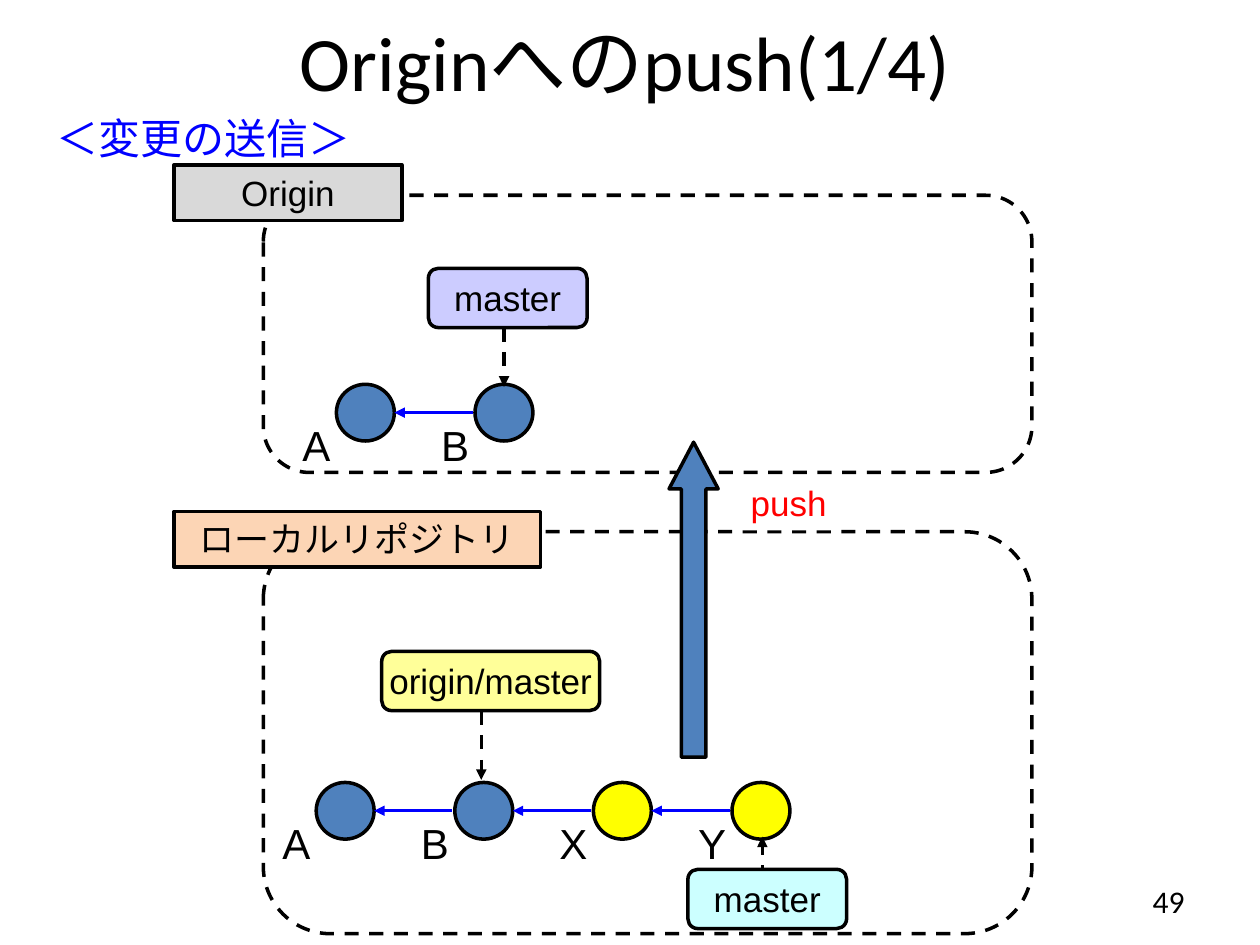
from lxml.etree import SubElement
from pptx import Presentation
from pptx.dml.color import RGBColor
from pptx.enum.dml import MSO_LINE
from pptx.enum.shapes import MSO_CONNECTOR, MSO_SHAPE
from pptx.enum.text import MSO_ANCHOR, PP_ALIGN
from pptx.oxml.ns import qn
from pptx.util import Inches, Pt

HUES = {"black": "000000", "white": "FFFFFF", "blue": "0000FF", "red": "FF0000",
        "steel": "4F81BD", "yellow": "FFFF00", "cream": "FFFF99", "cyan": "CCFFFF",
        "lilac": "CCCCFF", "gray": "D9D9D9", "peach": "FCD5B5"}
STEP = 1.1           # column width between commits
DOT = (0.46, 0.45)   # commit size
TAG_H, REF_H = 0.44, 0.47


def hue(name):
    return RGBColor.from_string(HUES[name])


def write(shape, text, size=20, font="Arial", color="black", align=PP_ALIGN.LEFT,
          anchor=MSO_ANCHOR.TOP, wrap=True, pad=(0.1, 0.05)):
    frame = shape.text_frame
    form = {"word_wrap": wrap, "vertical_anchor": anchor,
            "margin_left": Inches(pad[0]), "margin_right": Inches(pad[0]),
            "margin_top": Inches(pad[1]), "margin_bottom": Inches(pad[1])}
    for key, value in form.items():
        setattr(frame, key, value)
    para = frame.paragraphs[0]
    para.text, para.alignment = text, align
    for key, value in {"size": Pt(size), "name": font}.items():
        setattr(para.font, key, value)
    para.font.color.rgb = hue(color)


def label(slide, box, text, **form):
    write(slide.shapes.add_textbox(*map(Inches, box)), text, **form)


def block(slide, kind, box, fill=None, line="black", dash=False, adj=()):
    shape = slide.shapes.add_shape(kind, *map(Inches, box))
    shape.shadow.inherit = False
    if fill:
        shape.fill.solid()
        shape.fill.fore_color.rgb = hue(fill)
    else:
        shape.fill.background()
    if line:
        shape.line.color.rgb = hue(line)
        shape.line.width = Pt(2)
    else:
        shape.line.fill.background()
    if dash:
        shape.line.dash_style = MSO_LINE.DASH
    for i, value in enumerate(adj):
        shape.adjustments[i] = value
    return shape


def arrow(slide, start, end, color, width, tip, dash=False):
    link = slide.shapes.add_connector(MSO_CONNECTOR.STRAIGHT, *map(Inches, start + end))
    link.line.color.rgb = hue(color)
    link.line.width = Pt(width)
    if dash:
        link.line.dash_style = MSO_LINE.DASH
    SubElement(link.line._get_or_add_ln(), qn("a:" + tip), type="triangle")
    SubElement(link._element.spPr, qn("a:effectLst"))


def heading(slide, box, text):
    title = slide.shapes.title
    for key, value in zip(("left", "top", "width", "height"), box):
        setattr(title, key, Inches(value))
    write(title, text, size=44, font="Calibri", align=PP_ALIGN.CENTER,
          anchor=MSO_ANCHOR.MIDDLE)


def panel(slide, box, name, tag_w, rise, fill):
    """Dashed frame with a name tag over its top left corner."""
    left, top = box[:2]
    block(slide, MSO_SHAPE.ROUNDED_RECTANGLE, box, dash=True, adj=[0.167])
    tag = block(slide, MSO_SHAPE.RECTANGLE, (left - 0.71, top - rise, tag_w, TAG_H), fill)
    write(tag, name, align=PP_ALIGN.CENTER, pad=(0.02, 0.05))


def commits(slide, left, top, row):
    """Row of commits, each linked back to its parent."""
    for i, (name, fill) in enumerate(row):
        x = left + i * STEP
        block(slide, MSO_SHAPE.OVAL, (x, top, *DOT), fill)
        label(slide, (x - 0.27, top + 0.28, 0.32, 0.4), name, size=24, pad=(0, 0))
        if i:
            y = top + DOT[1] / 2
            arrow(slide, (x - STEP + DOT[0], y), (x - 0.02, y), "blue", 1.5, "headEnd")


def branch(slide, box, name, fill, start, end):
    """Branch name with a dashed pointer to its commit."""
    arrow(slide, start, end, "black", 2, "tailEnd", dash=True)
    ref = block(slide, MSO_SHAPE.ROUNDED_RECTANGLE, box, fill, adj=[0.167])
    write(ref, name, align=PP_ALIGN.CENTER, anchor=MSO_ANCHOR.MIDDLE, wrap=False)


def origin(slide, box):
    left, top = box[:2]
    panel(slide, box, "Origin", 1.81, 0.24, "gray")
    x, y = left + 0.58, top + 1.5
    commits(slide, x, y, [("A", "steel"), ("B", "steel")])
    mid = x + STEP + DOT[0] / 2
    branch(slide, (mid - 0.6, y - 0.92, 1.26, REF_H), "master", "lilac",
           (mid, y - 0.45), (mid, y + 0.02))


def local(slide, box):
    left, top = box[:2]
    panel(slide, box, "ローカルリポジトリ", 2.91, 0.16, "peach")
    x, y = left + 0.42, top + 1.99
    commits(slide, x, y, [("A", "steel"), ("B", "steel"), ("X", "yellow"), ("Y", "yellow")])
    mid = x + STEP + DOT[0] / 2
    branch(slide, (mid - 0.81, y - 1.04, 1.73, REF_H), "origin/master", "cream",
           (mid - 0.02, y - 0.57), (mid - 0.02, y - 0.02))
    mid = x + 3 * STEP + DOT[0] / 2
    branch(slide, (mid - 0.58, y + 0.69, 1.26, REF_H), "master", "cyan",
           (mid + 0.01, y + 0.77), (mid + 0.01, y + 0.43))


def push(slide, box):
    left, top, width = box[:3]
    block(slide, MSO_SHAPE.UP_ARROW, box, "steel", adj=[0.5, 0.95])
    note = block(slide, MSO_SHAPE.RECTANGLE,
                 (left + width + 0.16, top + 0.26, 0.8, TAG_H), "white", line=None)
    write(note, "push", color="red", wrap=False)


def main():
    deck = Presentation()
    deck.slide_width, deck.slide_height = Inches(10), Inches(7.5)
    slide = deck.slides.add_slide(deck.slide_layouts[5])
    # Title, subtitle and page number
    heading(slide, (0.39, 0, 9.14, 0.97), "Originへのpush(1/4)")
    label(slide, (0.35, 0.84, 6.14, 0.5), "＜変更の送信＞", size=24, font="Calibri", color="blue")
    label(slide, (7.17, 6.95, 2.33, 0.4), "49", size=18, font="Calibri",
          align=PP_ALIGN.RIGHT, anchor=MSO_ANCHOR.MIDDLE)
    # Repositories and the push between them
    origin(slide, (2.09, 1.55, 6.1, 2.2))
    local(slide, (2.09, 4.22, 6.1, 3.19))
    push(slide, (5.31, 3.51, 0.39, 2.5))
    deck.save("out.pptx")


if __name__ == "__main__":
    main()
